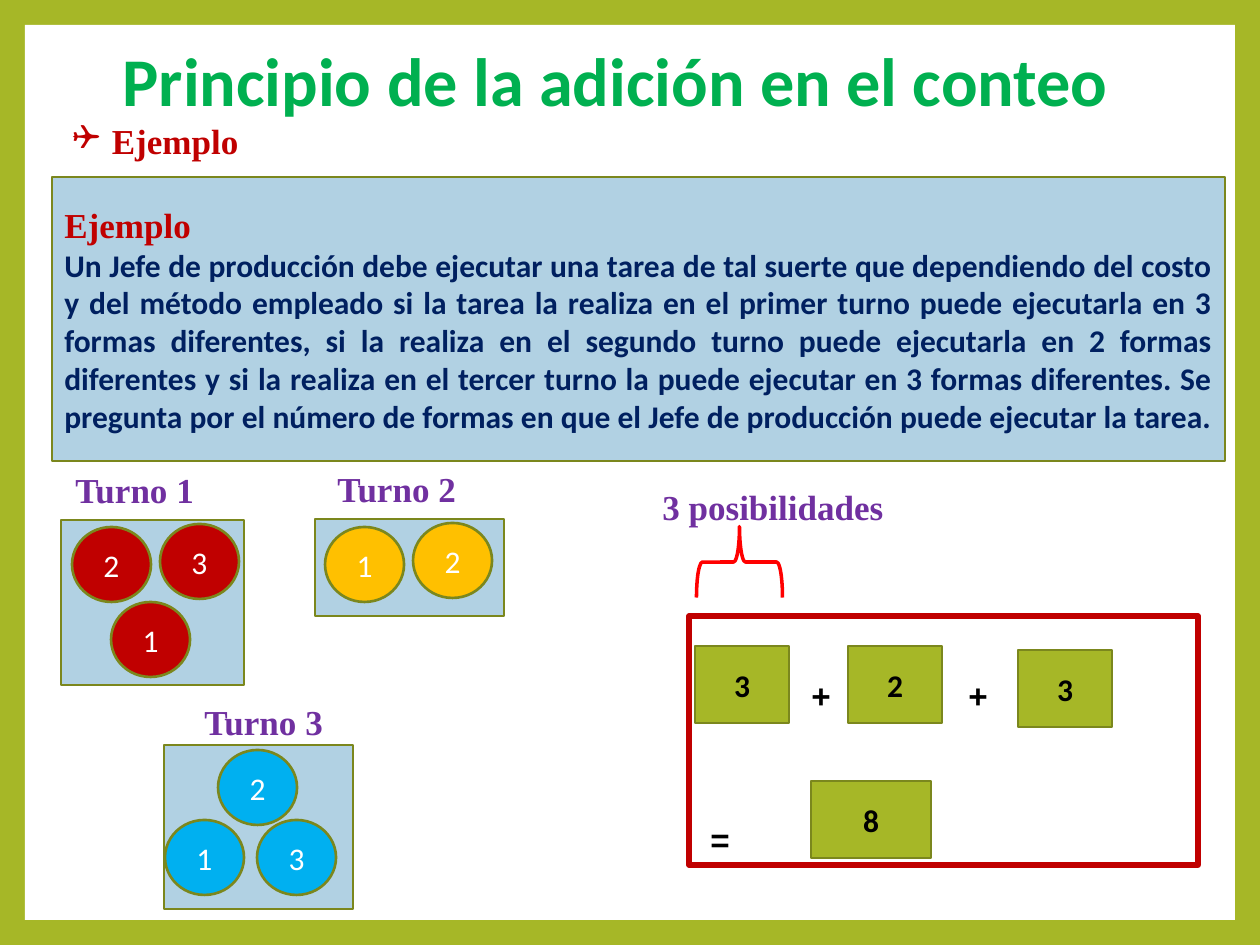
import pptx
import pptx.util
import pptx.dml.color
import pptx.enum.shapes
import pptx.enum.text
import pptx.oxml.ns
import lxml.etree

RGB = pptx.dml.color.RGBColor
SHAPE = pptx.enum.shapes.MSO_SHAPE
ALIGN = pptx.enum.text.PP_ALIGN
ANCHOR = pptx.enum.text.MSO_ANCHOR

PX = 914400 / 126
OLIVE = RGB(0xA6, 0xB7, 0x27)
DARK_OLIVE = RGB(0x7B, 0x87, 0x1D)
PALE_BLUE = RGB(0xB1, 0xD1, 0xE3)
NAVY = RGB(0x00, 0x20, 0x60)
GREEN = RGB(0x00, 0xB0, 0x50)
PURPLE = RGB(0x70, 0x30, 0xA0)
DARK_RED = RGB(0xC0, 0x00, 0x00)
RED = RGB(0xFF, 0x00, 0x00)
AMBER = RGB(0xFF, 0xC0, 0x00)
SKY = RGB(0x00, 0xB0, 0xF0)
WHITE = RGB(0xFF, 0xFF, 0xFF)
BLACK = RGB(0x00, 0x00, 0x00)

# Text formats
TITLE = {"name": "Calibri", "size": 39, "bold": True, "color": GREEN}
HEADING = {"name": "Times New Roman", "size": 20, "bold": True, "color": DARK_RED}
LABEL = {**HEADING, "color": PURPLE}
STATEMENT = {"name": "Calibri", "size": 18, "bold": True, "color": NAVY}
NUMBER = {**STATEMENT, "color": BLACK}
BALL = {"name": "Calibri", "size": 18, "bold": False, "color": WHITE}
OPERATOR = {"name": "Arial", "size": 19, "bold": True, "color": BLACK}

PROBLEM = (
    "Un Jefe de producción debe ejecutar una tarea de tal suerte que dependiendo "
    "del costo y del método empleado si la tarea la realiza en el primer turno puede "
    "ejecutarla en 3 formas diferentes, si la realiza en el segundo turno puede "
    "ejecutarla en 2 formas diferentes y si la realiza en el tercer turno la puede "
    "ejecutar en 3 formas diferentes. Se pregunta por el número de formas en que el "
    "Jefe de producción puede ejecutar la tarea. "
)


def emu(*lengths):
    return [pptx.util.Emu(round(length * PX)) for length in lengths]


def write(frame, lines, align, anchor):
    """Fill a text frame with (text, format) lines."""
    frame.word_wrap = True
    frame.vertical_anchor = anchor
    for index, (text, text_format) in enumerate(lines):
        paragraph = frame.add_paragraph() if index else frame.paragraphs[0]
        paragraph.alignment = align
        run = paragraph.add_run()
        run.text = text
        for key, value in text_format.items():
            if key == "color":
                run.font.color.rgb = value
            else:
                setattr(run.font, key, pptx.util.Pt(value) if key == "size" else value)


def add_text(slide, box, text, text_format, align=ALIGN.LEFT, anchor=ANCHOR.TOP):
    holder = slide.shapes.add_textbox(*emu(*box))
    write(holder.text_frame, [(text, text_format)], align, anchor)
    return holder.text_frame.paragraphs[0]


def add_figure(slide, kind, box, fill=None, line=DARK_OLIVE, weight=1.5,
               lines=(), align=ALIGN.CENTER):
    figure = slide.shapes.add_shape(kind, *emu(*box))
    figure.shadow.inherit = False
    if fill is None:
        figure.fill.background()
    else:
        figure.fill.solid()
        figure.fill.fore_color.rgb = fill
    if line is None:
        figure.line.fill.background()
    else:
        figure.line.color.rgb = line
        figure.line.width = pptx.util.Pt(weight)
    if lines:
        write(figure.text_frame, lines, align, ANCHOR.MIDDLE)
    return figure


def add_header(slide, box):
    """Title with the bulleted heading below it."""
    x, y, width, height = box
    title = add_text(slide, (x, y, width, 83), "Principio de la adición en el conteo",
                     TITLE, ALIGN.CENTER, ANCHOR.MIDDLE)
    title.line_spacing = 0.8
    heading = add_text(slide, (x + 40, y + height - 55, 384, 55), "Ejemplo",
                       HEADING, ALIGN.JUSTIFY)
    properties = heading._p.get_or_add_pPr()
    properties.set("marL", "285750")
    properties.set("indent", "-285750")
    for tag, key, value in (("a:buFont", "typeface", "Wingdings"),
                            ("a:buChar", "char", "❑")):
        bullet = lxml.etree.SubElement(properties, pptx.oxml.ns.qn(tag))
        bullet.set(key, value)


def add_problem(slide, box):
    add_figure(slide, SHAPE.RECTANGLE, box, PALE_BLUE,
               lines=[("Ejemplo", HEADING), (PROBLEM, STATEMENT)], align=ALIGN.JUSTIFY)


def add_shift(slide, box, name, name_offset, color, balls):
    """One shift: its label, its tray and the numbered balls in it."""
    x, y = box[:2]
    add_figure(slide, SHAPE.RECTANGLE, box, PALE_BLUE)
    for number, dx, dy in balls:
        add_figure(slide, SHAPE.OVAL, (x + dx, y + dy, 79, 75), color,
                   lines=[(number, BALL)])
    dx, dy = name_offset
    add_text(slide, (x + dx, y + dy, 166, 55), name, LABEL)


def add_sum(slide, box):
    """Framed sum, with the brace and its label above the first term."""
    x, y, width, height = box
    add_figure(slide, SHAPE.RECTANGLE, box, line=DARK_RED, weight=3)
    for number, dx, dy, term_width in (("3", 6, 30, 94), ("2", 159, 30, 94),
                                       ("3", 329, 34, 94), ("8", 122, 165, 120)):
        add_figure(slide, SHAPE.RECTANGLE, (x + dx, y + dy, term_width, 77), OLIVE,
                   lines=[(number, NUMBER)])
    for sign, dx, dy in (("+", 110, 53), ("+", 267, 53), ("=", 9, 197)):
        add_text(slide, (x + dx, y + dy, 39, 53), sign, OPERATOR)
    add_text(slide, (x - 39, y - 137, 251, 55), "3 posibilidades", LABEL)
    brace = add_figure(slide, SHAPE.LEFT_BRACE, (x + 15, y - 97, 71, 86),
                       line=RED, weight=2)
    brace.rotation = 90


def main():
    deck = pptx.Presentation()
    deck.slide_width, deck.slide_height = emu(1260, 945)
    slide = deck.slides.add_slide(deck.slide_layouts[6])

    # Olive border around a white sheet
    slide.background.fill.solid()
    slide.background.fill.fore_color.rgb = OLIVE
    add_figure(slide, SHAPE.RECTANGLE, (25, 25, 1210, 895), WHITE, line=None)

    add_header(slide, (20, 45, 1191, 123))
    add_problem(slide, (52, 177, 1173, 284))
    add_sum(slide, (689, 616, 509, 249))

    # Shifts
    add_shift(slide, (61, 520, 183, 165), "Turno 1", (2, -58), DARK_RED,
              [("3", 99, 4), ("1", 50, 82), ("2", 11, 7)])
    add_shift(slide, (315, 519, 189, 97), "Turno 2", (10, -58), AMBER,
              [("2", 98, 4), ("1", 10, 8)])
    add_shift(slide, (164, 745, 189, 164), "Turno 3", (28, -51), SKY,
              [("3", 93, 75), ("2", 54, 5), ("1", 1, 75)])

    deck.save("out.pptx")


if __name__ == "__main__":
    main()
